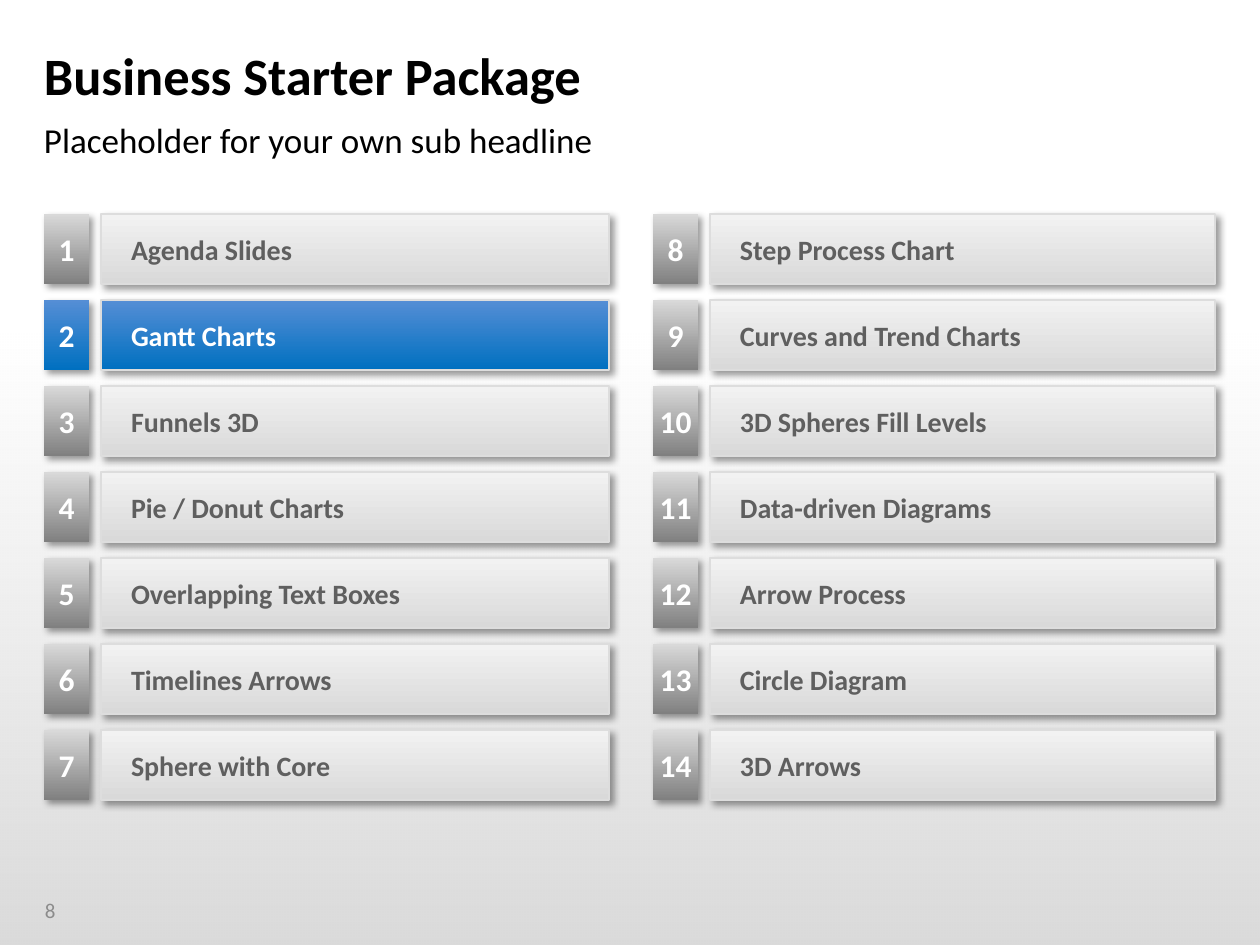
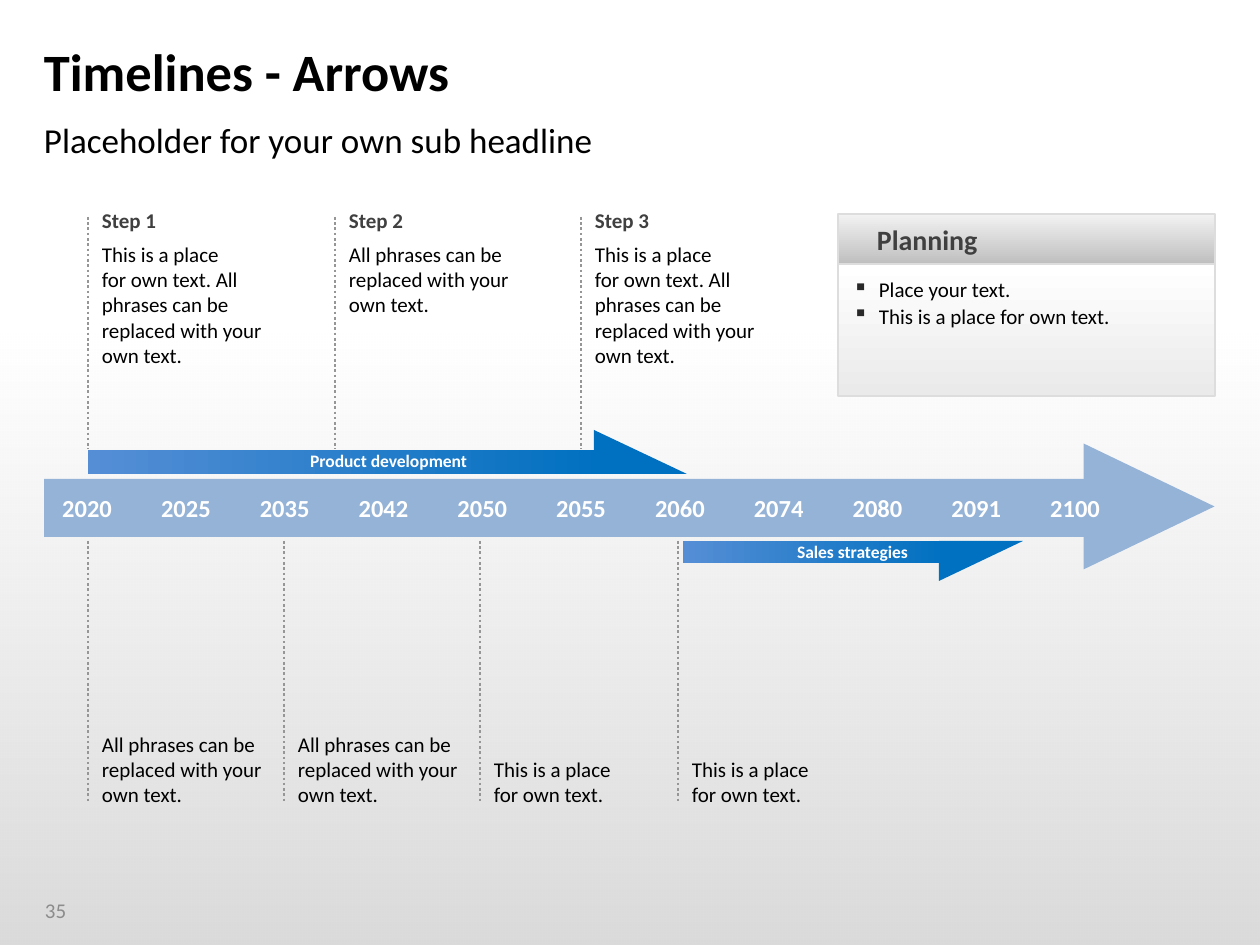
from lxml import etree
from pptx import Presentation, util as u
from pptx.dml.color import RGBColor
from pptx.enum import dml, shapes, text
from pptx.oxml.ns import qn

SCALE = 914400 / 126
FONT = "Calibri"
COLORS = {
    "black": "000000", "white": "FFFFFF", "number": "8C8C8C", "label": "5F5F5F",
    "heading": "404040", "border": "DDDDDD", "dots": "969696", "bullet": "292929",
    "band": "95B3D7", "sky": "558ED5", "blue": "0070C0", "pale": "F2F2F2",
    "silver": "D9D9D9", "gray": "808080", "steel": "BFBFBF", "mist": "EAEAEA",
}
SUBTITLE = "Placeholder for your own sub headline"

AGENDA = {
    "title": "Business Starter Package", "page": 8, "active": 2,
    "columns": [
        {"chip": 44, "label": 101, "width": 508, "topics": [
            "Agenda Slides", "Gantt Charts", "Funnels 3D", "Pie / Donut Charts",
            "Overlapping Text Boxes", "Timelines Arrows", "Sphere with Core"]},
        {"chip": 653, "label": 710, "width": 505, "topics": [
            "Step Process Chart", "Curves and Trend Charts", "3D Spheres Fill Levels",
            "Data-driven Diagrams", "Arrow Process", "Circle Diagram", "3D Arrows"]},
    ],
}

LONG = "This is a place\nfor own text. All phrases can be replaced with your own text."
MEDIUM = "All phrases can be replaced with your own text."
SHORT = "This is a place\nfor own text."
TIMELINE = {
    "title": "Timelines - Arrows", "page": 35,
    "years": [2020, 2025, 2035, 2042, 2050, 2055, 2060, 2074, 2080, 2091, 2100],
    "steps": [(88, "Step 1", LONG), (335, "Step 2", MEDIUM), (581, "Step 3", LONG)],
    "notes": [(88, MEDIUM), (284, MEDIUM), (480, SHORT), (678, SHORT)],
    "phases": [
        {"name": "Product development", "bar": (88, 450, 515, 24),
         "caption": (90, 449, 597, 24), "head": [(687, 474), (594, 430), (594, 474)]},
        {"name": "Sales strategies", "bar": (683, 541, 263, 22),
         "caption": (682, 540, 341, 22), "head": [(1023, 541), (939, 541), (939, 581)]},
    ],
    "plan": ("Planning", ["Place your text.", "This is a place for own text."]),
}


def px(length):
    return u.Emu(round(length * SCALE))


def rgb(name):
    return RGBColor.from_string(COLORS[name])


def write(part, lines, size, color, bold=False, inset=(0, 0, 0, 0), anchor="MIDDLE",
          align="LEFT", after=0, spacing=None):
    frame = part.text_frame
    frame.word_wrap = True
    frame.vertical_anchor = text.MSO_ANCHOR[anchor]
    (frame.margin_left, frame.margin_top,
     frame.margin_right, frame.margin_bottom) = map(px, inset)
    for index, line in enumerate(lines):
        paragraph = frame.add_paragraph() if index else frame.paragraphs[0]
        paragraph.text = line
        paragraph.alignment = text.PP_ALIGN[align]
        paragraph.space_after = u.Pt(after)
        if spacing:
            paragraph.line_spacing = spacing
        for run in paragraph.runs:
            style(run, size, color, bold)
    return frame.paragraphs


def style(run, size, color, bold):
    run.font.name, run.font.size, run.font.bold = FONT, u.Pt(size), bold
    run.font.color.rgb = rgb(color)


def add_text(slide, box, lines, size, color, **options):
    return write(slide.shapes.add_textbox(*map(px, box)), lines, size, color, **options)


def paint(part, colors, across=False, border=None):
    part.shadow.inherit = False
    if len(colors) == 1:
        part.fill.solid()
        part.fill.fore_color.rgb = rgb(colors[0])
    else:
        part.fill.gradient()
        part.fill.gradient_angle = 0 if across else 270
        for stop, color, position in zip(part.fill.gradient_stops, colors, (0, 1)):
            stop.color.rgb = rgb(color)
            stop.position = position
    if border:
        part.line.color.rgb = rgb(border)
        part.line.width = u.Pt(1)
    else:
        part.line.fill.background()
    return part


def add_block(slide, box, colors, kind="RECTANGLE", **options):
    part = slide.shapes.add_shape(shapes.MSO_SHAPE[kind], *map(px, box))
    return paint(part, colors, **options)


def child(parent, tag, **attributes):
    return etree.SubElement(parent, qn(tag), {k: str(v) for k, v in attributes.items()})


def drop_shadow(part):
    effects = part._element.spPr.find(qn("a:effectLst"))
    shadow = child(effects, "a:outerShdw", blurRad=u.Pt(4), dist=u.Pt(3),
                   dir=45 * 60000, algn="tl", rotWithShape=0)
    child(child(shadow, "a:srgbClr", val=COLORS["black"]), "a:alpha", val=40000)


def add_dots(slide, x, top, bottom):
    dots = slide.shapes.add_connector(shapes.MSO_CONNECTOR.STRAIGHT,
                                      px(x), px(top), px(x), px(bottom))
    dots.line.color.rgb = rgb("dots")
    dots.line.width = u.Pt(1.5)
    dots.line.dash_style = dml.MSO_LINE.ROUND_DOT
    child(dots._element.spPr, "a:effectLst")


def start_slide(deck, content, title_spacing=None):
    slide = deck.slides.add_slide(deck.slide_layouts[6])
    shade = add_block(slide, (0, 326, 1260, 619), ("black", "black"))
    for color, opacity in zip(shade._element.spPr.iter(qn("a:srgbClr")), (0, 15000)):
        child(color, "a:alpha", val=opacity)
    add_text(slide, (33, 885, 81, 50), [str(content["page"])], 12, "number",
             inset=(12, 6, 12, 6))
    add_text(slide, (44, 33, 1171, 84), [content["title"]], 30, "black", bold=True,
             inset=(0, 6, 13, 6), spacing=title_spacing)
    add_text(slide, (44, 118, 1171, 47), [SUBTITLE], 20, "black", anchor="TOP")
    return slide


def build_agenda(deck):
    slide = start_slide(deck, AGENDA)
    number = 0
    for column in AGENDA["columns"]:
        for row, topic in enumerate(column["topics"]):
            number += 1
            active = number == AGENDA["active"]
            top = 214 + row * 86
            label = add_block(slide, (column["label"], top, column["width"], 70),
                              ("sky", "blue") if active else ("pale", "silver"),
                              border="border")
            write(label, [topic], 16, "white" if active else "label", bold=True,
                  inset=(30, 5, 5, 5))
            chip = add_block(slide, (column["chip"], top, 45, 70),
                             ("sky", "blue") if active else ("silver", "gray"))
            write(chip, [str(number)], 18, "white", bold=True, align="CENTER")
            drop_shadow(label)
            drop_shadow(chip)


def add_phase(slide, phase):
    start, *corners = phase["head"]
    outline = slide.shapes.build_freeform(*start, scale=SCALE)
    outline.add_line_segments(corners, close=True)
    paint(outline.convert_to_shape(), ("blue",))
    add_block(slide, phase["bar"], ("sky", "blue"), across=True)
    add_text(slide, phase["caption"], [phase["name"]], 10, "white", bold=True,
             align="CENTER")


def add_years(slide, years):
    line = add_text(slide, (49, 479, 1080, 58), [""], 14, "white",
                    inset=(13, 6, 0, 6))[0]
    tabs = child(line._p.get_or_add_pPr(), "a:tabLst")
    for index in range(len(years)):
        child(tabs, "a:tab", pos=px(50 + index * 988 / (len(years) - 1)), algn="r")
    run = line.add_run()
    run.text = "".join(f"\t{year}" for year in years)
    style(run, 14, "white", True)


def add_plan(slide, heading, points):
    header = add_block(slide, (838, 214, 377, 50), ("pale", "steel"), border="border")
    write(header, [heading], 16, "heading", bold=True, inset=(39, 0, 0, 0))
    body = add_block(slide, (838, 264, 377, 132), ("white", "mist"), border="border")
    for point in write(body, points, 12, "black", inset=(15, 15, 20, 10), anchor="TOP",
                       after=2.4, spacing=0.9):
        properties = point._p.get_or_add_pPr()
        properties.set("marL", str(px(26)))
        properties.set("indent", str(px(-26)))
        child(child(properties, "a:buClr"), "a:srgbClr", val=COLORS["bullet"])
        child(properties, "a:buChar", char="▪")


def build_timeline(deck):
    slide = start_slide(deck, TIMELINE, title_spacing=0.9)
    add_block(slide, (44, 479, 1053, 58), ("band",))
    tip = add_block(slide, (1086, 441, 126, 131), ("band",), kind="FLOWCHART_EXTRACT")
    tip.rotation = 90
    margins = (13, 9, 13, 6)
    for x, note in TIMELINE["notes"]:
        add_dots(slide, x, 541, 801)
        add_text(slide, (x + 1, 590, 191, 223), [note], 12, "black", inset=margins,
                 anchor="BOTTOM")
    for phase in TIMELINE["phases"]:
        add_phase(slide, phase)
    for x, name, detail in TIMELINE["steps"]:
        add_dots(slide, x, 217, 449)
        heading = add_text(slide, (x + 1, 199, 191, 204), [name, detail], 12, "black",
                           inset=margins, anchor="TOP", after=4.8)[0]
        style(heading.runs[0], 12, "heading", True)
    add_plan(slide, *TIMELINE["plan"])
    add_years(slide, TIMELINE["years"])


def main():
    deck = Presentation()
    deck.slide_width, deck.slide_height = px(1260), px(945)
    build_agenda(deck)
    build_timeline(deck)
    deck.save("out.pptx")


if __name__ == "__main__":
    main()
